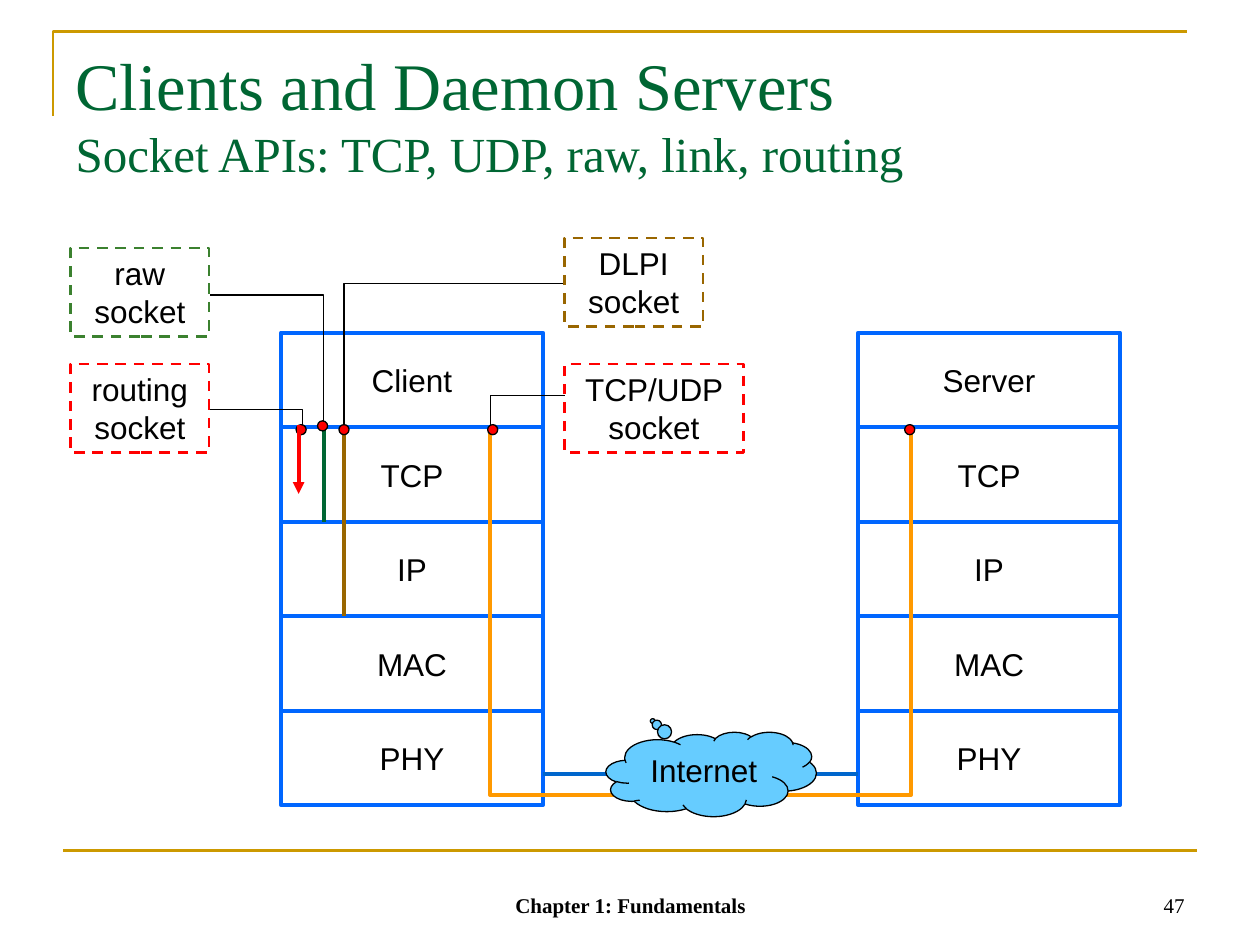
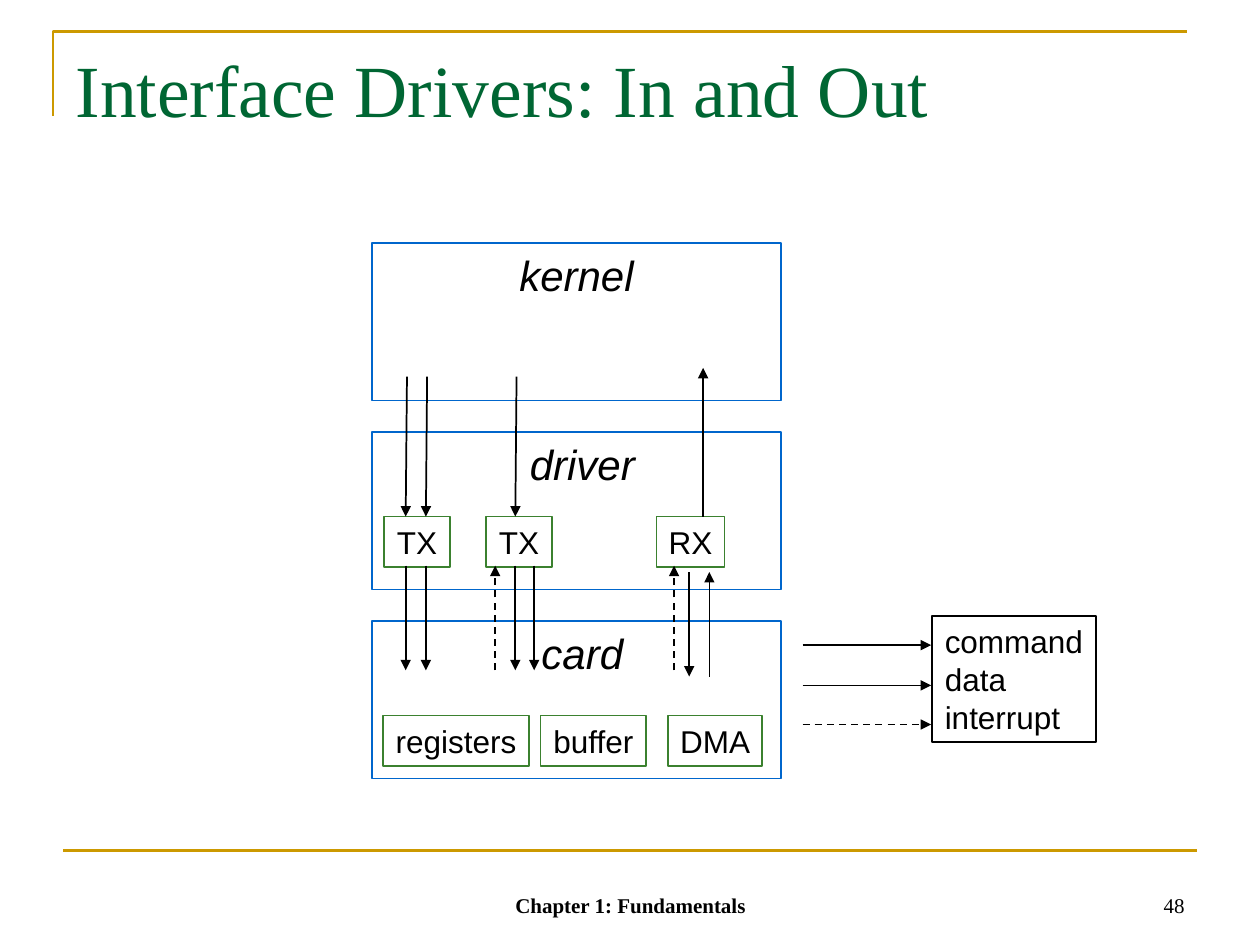
import pptx
import pptx.util
import pptx.dml.color
import pptx.enum.dml
import pptx.enum.shapes
import pptx.enum.text
import pptx.oxml.ns
import lxml.etree

Inches, Pt = pptx.util.Inches, pptx.util.Pt
SHAPE = pptx.enum.shapes.MSO_SHAPE
ALIGN = pptx.enum.text.PP_ALIGN
ANCHOR = pptx.enum.text.MSO_ANCHOR
DASH = pptx.enum.dml.MSO_LINE.DASH

SANS, SERIF = "Arial", "Times New Roman"
BLACK, RED, GREEN, BROWN = "000000", "FF0000", "006633", "996600"
GOLD, ORANGE, BLUE, LINK = "CC9900", "FF9900", "0066FF", "0066CC"
LEAF, SKY = "3B812F", "66CCFF"


# ---- Helpers ----
def rgb(value):
    return pptx.dml.color.RGBColor.from_string(value)


def set_line(shape, color, width, dash=None):
    shape.line.color.rgb = rgb(color)
    shape.line.width = Pt(width)
    if dash:
        shape.line.dash_style = dash


def set_text(tf, text, sizes, font=SANS, color=BLACK, align=ALIGN.CENTER,
             anchor=ANCHOR.TOP, wrap=True, bold=False, italic=False):
    """Fill a text frame; sizes holds one size, or one for each paragraph."""
    tf.text = text
    tf.word_wrap = wrap
    tf.auto_size = pptx.enum.text.MSO_AUTO_SIZE.NONE
    tf.vertical_anchor = anchor
    for i, p in enumerate(tf.paragraphs):
        p.alignment = align
        for r in p.runs:
            r.font.size = Pt(sizes[min(i, len(sizes) - 1)])
            r.font.name = font
            r.font.color.rgb = rgb(color)
            r.font.bold = bold
            r.font.italic = italic


def add_box(s, x, y, w, h, color, width, text="", size=18, kind=SHAPE.RECTANGLE,
            fill=None, dash=None, **style):
    sp = s.shapes.add_shape(kind, Inches(x), Inches(y), Inches(w), Inches(h))
    sp.shadow.inherit = False
    if fill:
        sp.fill.solid()
        sp.fill.fore_color.rgb = rgb(fill)
    else:
        sp.fill.background()
    set_line(sp, color, width, dash)
    if text:
        set_text(sp.text_frame, text, [size], **style)
    return sp


def add_line(s, x1, y1, x2, y2, color=BLACK, width=1, dash=None, arrow=False):
    cx = s.shapes.add_connector(pptx.enum.shapes.MSO_CONNECTOR.STRAIGHT,
                                Inches(x1), Inches(y1), Inches(x2), Inches(y2))
    set_line(cx, color, width, dash)
    qn = pptx.oxml.ns.qn
    if arrow:
        ln = cx.line._get_or_add_ln()
        lxml.etree.SubElement(ln, qn("a:tailEnd"), type="triangle")
    lxml.etree.SubElement(cx._element.spPr, qn("a:effectLst"))


def add_path(s, points, color, width):
    start, *rest = [(Inches(x), Inches(y)) for x, y in points]
    builder = s.shapes.build_freeform(*start)
    builder.add_line_segments(rest, close=False)
    sp = builder.convert_to_shape()
    sp.shadow.inherit = False
    sp.fill.background()
    set_line(sp, color, width)


def add_label(s, x, y, w, h, text, **style):
    tb = s.shapes.add_textbox(Inches(x), Inches(y), Inches(w), Inches(h))
    set_text(tb.text_frame, text, [12], SERIF, anchor=ANCHOR.BOTTOM, **style)


# ---- Shared frame, footer and title ----
def new_slide(prs, title, sizes, number):
    s = prs.slides.add_slide(prs.slide_layouts[5])
    add_path(s, [(0.42, 0.92), (0.42, 0.25), (9.42, 0.25)], GOLD, 1.5)
    add_line(s, 0.5, 6.75, 9.5, 6.75, GOLD, 1.5)
    add_label(s, 3.42, 6.83, 3.17, 0.5, "Chapter 1: Fundamentals", bold=True)
    add_label(s, 7.17, 6.83, 2.33, 0.5, str(number), align=ALIGN.RIGHT)
    sp = s.shapes.title
    sp.left, sp.top, sp.width, sp.height = Inches(0.5), Inches(0.3), Inches(9), Inches(1.25)
    set_text(sp.text_frame, title, sizes, SERIF, GREEN, ALIGN.LEFT)
    return s


# ---- Slide 1: protocol stacks and sockets ----
LAYER_H = 0.75


def add_stack(s, x, y, w, host):
    for i, layer in enumerate([host, "TCP", "IP", "MAC", "PHY"]):
        add_box(s, x, y + i * LAYER_H, w, LAYER_H, BLUE, 2.25, layer,
                anchor=ANCHOR.MIDDLE)


def add_socket(s, x, y, w, name, color, lead):
    add_box(s, x, y, w, 0.7, color, 1.5, name + " socket", dash=DASH)
    add_path(s, lead, BLACK, 0.75)


def add_network(s, left, right, y, client_x, server_x):
    """Draw the path between the stacks, which starts and ends at height y."""
    low = y + 2.92
    add_path(s, [(client_x, y), (client_x, low), (server_x, low), (server_x, y)],
             ORANGE, 2.25)
    add_line(s, left, y + 2.75, right, y + 2.75, LINK, 2.25)
    cloud = add_box(s, left + 0.5, y + 2.42, 1.67, 0.67, BLACK, 0.75, "Internet",
                    kind=SHAPE.CLOUD_CALLOUT, fill=SKY)
    cloud.adjustments[0], cloud.adjustments[1] = -0.278, -0.63


def add_dot(s, x, y):
    add_box(s, x, y, 0.08, 0.08, BLACK, 0.75, kind=SHAPE.OVAL, fill=RED)


def sockets_slide(prs):
    s = new_slide(prs, "Clients and Daemon Servers\n"
                  "Socket APIs: TCP, UDP, raw, link, routing", [38, 28], 47)
    client, server, top, width = 2.23, 6.81, 2.64, 2.08
    api = top + LAYER_H
    raw_x, dlpi_x, tcp_x, server_x = 2.57, 2.73, 3.89, 7.23
    add_stack(s, client, top, width, "Client")
    add_stack(s, server, top, width, "Server")
    add_line(s, raw_x, api, raw_x, api + LAYER_H, GREEN, 2.25)
    add_line(s, dlpi_x, api, dlpi_x, api + 2 * LAYER_H, BROWN, 2.25)
    add_network(s, client + width, server, api, tcp_x, server_x)

    # Sockets with their leads to the top of the TCP layer
    for x, y, w, name, color, start, turn in [
            (0.56, 2.89, 1.1, "routing", RED, (1.67, 3.25), 2.4),
            (0.56, 1.97, 1.1, "raw", LEAF, (1.67, 2.34), raw_x),
            (4.48, 1.89, 1.1, "DLPI", BROWN, (4.47, 2.25), dlpi_x),
            (4.48, 2.89, 1.42, "TCP/UDP", RED, (4.48, 3.14), tcp_x)]:
        add_socket(s, x, y, w, name, color, [start, (turn, start[1]), (turn, api)])

    # Access points
    add_dot(s, 2.35, 3.37)
    add_dot(s, 2.52, 3.34)
    add_line(s, 2.37, 3.37, 2.37, 3.92, RED, 2.25, arrow=True)
    for x in (2.69, 7.18, 3.87):
        add_dot(s, x, 3.37)


# ---- Slide 2: driver queues ----
def add_tier(s, x, y, name, parts):
    """Draw a tier and its parts, each given as text, x, y and width."""
    add_box(s, x, y, 3.25, 1.25, LINK, 1, name, 24, wrap=False, italic=True)
    for text, dx, dy, w in parts:
        add_box(s, x + dx, y + dy, w, 0.4, LEAF, 1, text, wrap=False)


def add_legend(s, x, y):
    add_box(s, x + 1.03, y, 1.3, 1, BLACK, 1, "command\ndata\ninterrupt",
            align=ALIGN.LEFT, wrap=False)
    for dy, dash in [(0.23, None), (0.55, None), (0.86, DASH)]:
        add_line(s, x, y + dy, x + 1.02, y + dy, dash=dash, arrow=True)


def drivers_slide(prs):
    s = new_slide(prs, "Interface Drivers: In and Out", [42], 48)
    x, top, pitch = 2.95, 1.93, 1.5
    tiers = [
        ("kernel", []),
        (" driver", [("TX", 0.1, 0.67, 0.52), ("TX", 0.91, 0.67, 0.52),
                     ("RX", 2.26, 0.67, 0.54)]),
        (" card", [("registers", 0.09, 0.75, 1.16), ("buffer", 1.34, 0.75, 0.84),
                   ("DMA", 2.35, 0.75, 0.75)])]
    for i, (name, parts) in enumerate(tiers):
        add_tier(s, x, top + i * pitch, name, parts)

    # Kernel and driver
    for ax in (3.22, 3.38, 4.09):
        add_line(s, ax + 0.01, 2.99, ax, 4.1, arrow=True)
    add_line(s, 5.58, 4.1, 5.58, 2.92, arrow=True)

    # Driver and card
    for ax in (3.22, 3.38, 4.09, 4.24):
        add_line(s, ax, 4.49, ax, 5.32, arrow=True)
    for ax in (3.93, 5.35):
        add_line(s, ax, 5.32, ax, 4.49, dash=DASH, arrow=True)
    add_line(s, 5.47, 4.54, 5.47, 5.37, arrow=True)
    add_line(s, 5.63, 5.37, 5.63, 4.54, arrow=True)
    add_legend(s, 6.37, 4.89)


def main():
    prs = pptx.Presentation()
    prs.slide_width, prs.slide_height = Inches(10), Inches(7.5)
    sockets_slide(prs)
    drivers_slide(prs)
    prs.save("out.pptx")


if __name__ == "__main__":
    main()
